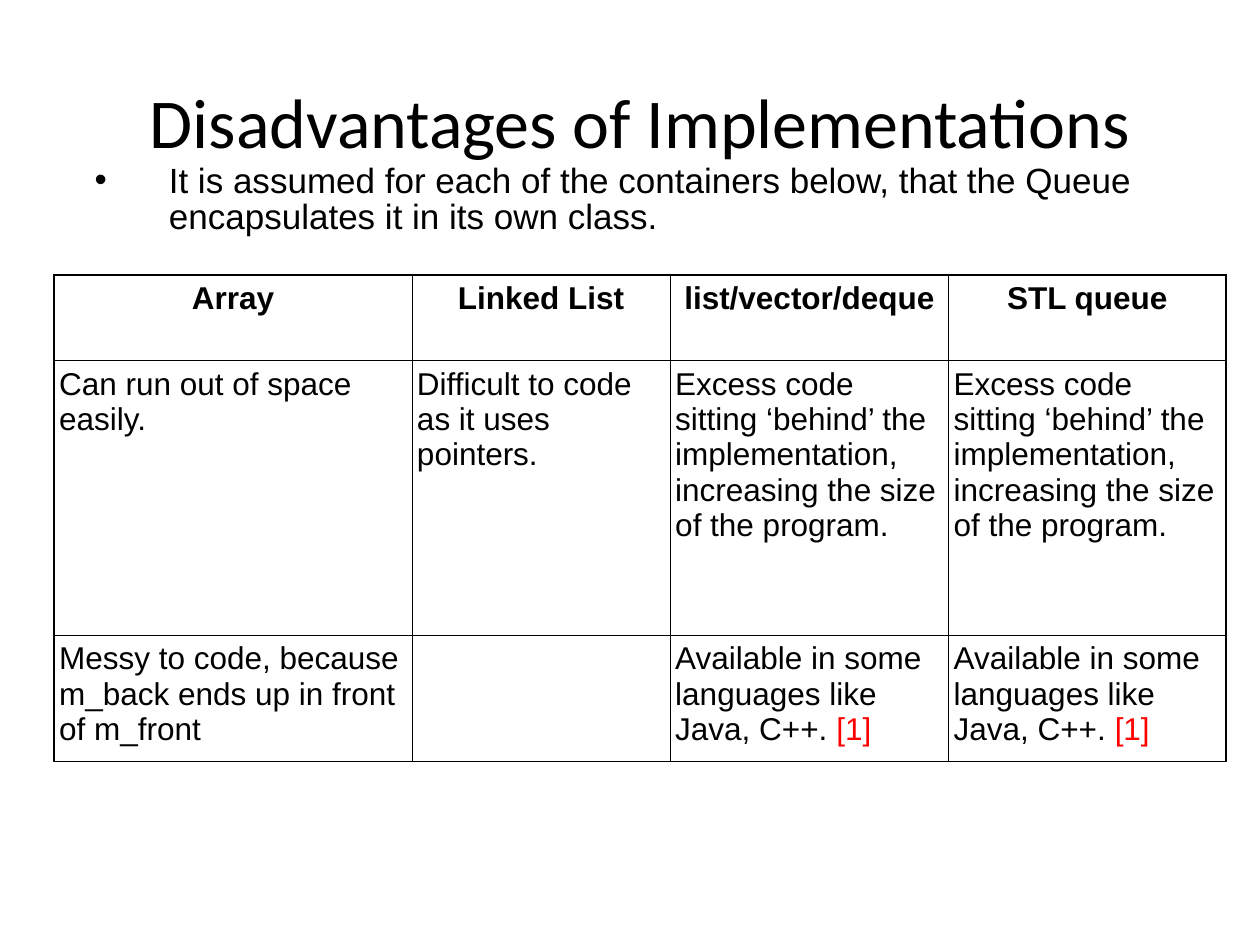
from lxml import etree
from pptx import Presentation
from pptx.dml.color import RGBColor
from pptx.enum.text import MSO_ANCHOR, MSO_AUTO_SIZE, PP_ALIGN
from pptx.oxml.ns import qn
from pptx.util import Inches, Pt

BLACK = RGBColor(0, 0, 0)
RED = RGBColor(255, 0, 0)
CENTER, LEFT = PP_ALIGN.CENTER, PP_ALIGN.LEFT
TOP, MIDDLE = MSO_ANCHOR.TOP, MSO_ANCHOR.MIDDLE
FIT_SHAPE, NO_FIT = MSO_AUTO_SIZE.SHAPE_TO_FIT_TEXT, MSO_AUTO_SIZE.NONE

TITLE = "Disadvantages of Implementations"
INTRO = ("It is assumed for each of the containers below, that the Queue "
         "encapsulates it in its own class.")
EXCESS = ("Excess code sitting ‘behind’ the implementation, "
          "increasing the size of the program.")
AVAILABLE = "Available in some languages like Java, C++. "
CITATION = "[1]"
ROWS = [
    ["Array", "Linked List", "list/vector/deque", "STL queue"],
    ["Can run out of space easily.", "Difficult to code as it uses pointers.",
     EXCESS, EXCESS],
    ["Messy to code, because m_back ends up in front of m_front", "",
     AVAILABLE + CITATION, AVAILABLE + CITATION],
]
COLUMN_WIDTHS = [2.84, 2.05, 2.21, 2.2]
ROW_HEIGHTS = [0.68, 2.18, 0.98]
THIN, THICK = 0.45, 1.08


def write(frame, text, size, font="Arial", bold=False, align=LEFT):
    para = frame.paragraphs[0]
    para.alignment = align
    body, mark, _ = text.partition(CITATION)
    for part, color in ((body, BLACK), (mark, RED)):
        if part:
            span = para.add_run()
            span.text = part
            span.font.name = font
            span.font.size = Pt(size)
            span.font.bold = bold
            span.font.color.rgb = color
    return para


def place(box, left, top, width, height, anchor, fit):
    box.left, box.top = Inches(left), Inches(top)
    box.width, box.height = Inches(width), Inches(height)
    frame = box.text_frame
    frame.margin_left = frame.margin_right = 0
    frame.margin_top = frame.margin_bottom = 0
    frame.vertical_anchor = anchor
    frame.word_wrap = True
    frame.auto_size = fit
    return frame


def set_borders(cell, widths):
    properties = cell._tc.get_or_add_tcPr()
    for index, (side, width) in enumerate(widths.items()):
        line = etree.Element(qn(f"a:{side}"), w=str(Pt(width)))
        fill = etree.SubElement(line, qn("a:solidFill"))
        etree.SubElement(fill, qn("a:srgbClr"), val=str(BLACK))
        properties.insert(index, line)


def add_bullet(para, indent):
    properties = para._p.get_or_add_pPr()
    properties.set("marL", str(Inches(indent)))
    properties.set("indent", str(-Inches(indent)))
    color = etree.SubElement(properties, qn("a:buClr"))
    etree.SubElement(color, qn("a:srgbClr"), val=str(BLACK))
    etree.SubElement(properties, qn("a:buFont"), typeface="Arial")
    etree.SubElement(properties, qn("a:buChar"), char="•")


def add_comparison(page):
    frame = page.shapes.add_table(
        len(ROWS), len(COLUMN_WIDTHS), Inches(0.43), Inches(2.18),
        Inches(sum(COLUMN_WIDTHS)), Inches(sum(ROW_HEIGHTS)))
    table = frame.table
    for column, width in zip(table.columns, COLUMN_WIDTHS):
        column.width = Inches(width)
    for row, height in zip(table.rows, ROW_HEIGHTS):
        row.height = Inches(height)
    last = len(COLUMN_WIDTHS) - 1
    for r, texts in enumerate(ROWS):
        for c, text in enumerate(texts):
            cell = table.cell(r, c)
            cell.fill.background()
            cell.margin_left = cell.margin_right = Inches(0.04)
            cell.margin_top = cell.margin_bottom = Inches(0.05)
            write(cell.text_frame, text, 18, bold=r == 0,
                  align=CENTER if r == 0 else LEFT)
            set_borders(cell, {
                "lnL": THICK if c == 0 else THIN,
                "lnR": THICK if c == last else THIN,
                "lnT": THICK if r == 0 else THIN,
                "lnB": THIN,
            })


def main():
    deck = Presentation()
    deck.slide_width, deck.slide_height = Inches(10), Inches(7.5)
    page = deck.slides.add_slide(deck.slide_layouts[1])
    title, body = page.placeholders
    write(place(title, 0.83, 0.6, 8.5, 0.71, MIDDLE, NO_FIT), TITLE, 40,
          font="Calibri", align=CENTER)
    para = write(place(body, 0.75, 1.31, 8.35, 0.57, TOP, FIT_SHAPE), INTRO, 20)
    add_bullet(para, 0.59)
    para.line_spacing = 0.85
    para.space_before = Pt(0)
    add_comparison(page)
    deck.save("out.pptx")


if __name__ == "__main__":
    main()
